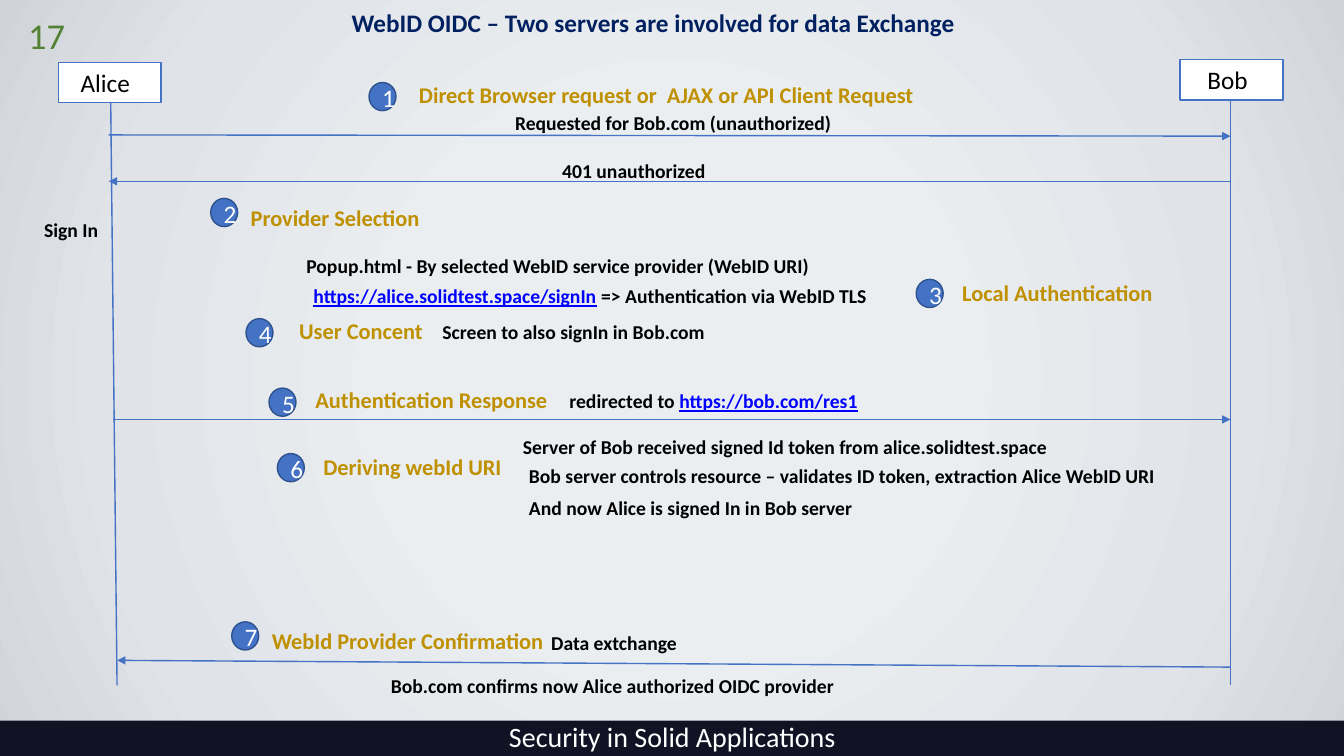
from pptx import Presentation, util as u
from pptx.dml.color import RGBColor
from pptx.enum import shapes, text
from pptx.oxml import parse_xml
from pptx.oxml.ns import nsdecls, qn

BLUE, GOLD, NAVY, WHITE, BLACK = "4472C4", "BF9000", "002060", "FFFFFF", "000000"
INDENT = 1.27
BOB_X = 31.01

# left, top, width, height, lines of spans; a span that starts with https shows as a link
MESSAGES = [
    (11.46, 2.62, 9.86, 0.86, [["Requested for Bob.com (unauthorized)"]]),
    (12.65, 3.84, 5.44, 0.86, [["401 unauthorized"]]),
    (-0.41, 5.31, 3.18, 0.86, [["Sign In"]]),
    (6.2, 6.22, 14.48, 0.89, [["Popup.html - By selected WebID service provider (WebID URI)"]]),
    (6.38, 6.99, 15.95, 0.89,
     [["https://alice.solidtest.space/signIn", " => Authentication via WebID TLS"]]),
    (9.63, 7.9, 8.46, 0.89, [["Screen to also signIn in Bob.com"]]),
    (12.83, 9.63, 9.1, 0.89, [["redirected to ", "https://bob.com/res1"]]),
    (11.66, 10.8, 15.32, 0.89,
     [["Server of Bob received signed Id token from alice.solidtest.space"]]),
    (11.81, 11.53, 17.91, 1.73,
     [["Bob server controls resource – validates ID token, extraction Alice WebID URI"],
      ["And now Alice is signed In in Bob server"]]),
    (8.33, 16.81, 13.08, 0.89, [["Bob.com confirms now Alice authorized OIDC provider"]]),
    (12.37, 15.72, 5, 0.89, [["Data extchange"]]),
]

# heading, its left, top, width, height and indent, then left and top of its number
STEPS = [
    ("Direct Browser request or  AJAX or API Client Request",
     9.04, 1.88, 14.48, 1.8, INDENT, 9.3, 2.08),
    ("Provider Selection", 4.8, 4.98, 6.15, 0.99, INDENT, 5.31, 5),
    ("Local Authentication", 22.73, 6.86, 6.68, 0.99, INDENT, 23.09, 7.04),
    ("User Concent", 7.29, 7.85, 3.81, 0.94, 0, 6.2, 8.03),
    ("Authentication Response", 7.7, 9.6, 6.45, 0.94, 0, 6.78, 9.78),
    ("Deriving webId URI", 7.9, 11.3, 5.08, 0.94, 0, 6.99, 11.43),
    ("WebId Provider Confirmation", 6.6, 15.67, 7.49, 0.94, 0, 5.84, 15.67),
]

ARROWS = [
    (2.74, 3.4, BOB_X, 3.43),
    (BOB_X, 4.57, 2.74, 4.57),
    (2.84, 10.57, BOB_X, 10.57),
    (BOB_X, 16.81, 2.95, 16.64),
]


def colour(value):
    return RGBColor.from_string(value)


def lengths(*values):
    return [u.Cm(value) for value in values]


class SequencePage:
    font = "Calibri"
    link = "0000FF"

    def __init__(self, deck):
        self.page = deck.slides.add_slide(deck.slide_layouts[5])

    def background(self, stops):
        """Fill the page with a round gradient of (percent, colour) stops."""
        marks = "".join(f'<a:gs pos="{percent * 1000}"><a:srgbClr val="{value}"/></a:gs>'
                        for percent, value in stops)
        self.page.element.cSld.insert(0, parse_xml(
            f'<p:bg {nsdecls("p", "a")}><p:bgPr><a:gradFill rotWithShape="1">'
            f'<a:gsLst>{marks}</a:gsLst><a:path path="circle">'
            '<a:fillToRect l="50000" t="50000" r="50000" b="50000"/></a:path>'
            '</a:gradFill><a:effectLst/></p:bgPr></p:bg>'))

    def fill_text(self, box, lines, size=14, ink=BLACK, bold=False, indent=0,
                  align=text.PP_ALIGN.LEFT, anchor=text.MSO_ANCHOR.TOP,
                  insets=(0.25, 0.13, 0.25, 0.13), grow=True):
        """Fill a box with lines, each a list of spans."""
        frame = box.text_frame
        frame.word_wrap = False
        frame.auto_size = (text.MSO_AUTO_SIZE.SHAPE_TO_FIT_TEXT if grow
                           else text.MSO_AUTO_SIZE.NONE)
        frame.vertical_anchor = anchor
        (frame.margin_left, frame.margin_top,
         frame.margin_right, frame.margin_bottom) = lengths(*insets)
        for number, spans in enumerate(lines):
            para = frame.add_paragraph() if number else frame.paragraphs[0]
            para.alignment = align
            if indent:
                para.line_spacing = 1.07
                para.space_after = u.Pt(4.6)
                properties = para._p.get_or_add_pPr()
                properties.set("marL", str(u.Cm(indent)))
                properties.set("indent", "0")
            for words in spans:
                span = para.add_run()
                span.text = words
                is_link = words.startswith("https")
                span.font.name, span.font.size = self.font, u.Pt(size)
                span.font.bold, span.font.underline = bold, is_link
                span.font.color.rgb = colour(self.link if is_link else ink)

    def title(self, words, *place):
        box = self.page.shapes.title
        box.left, box.top, box.width, box.height = lengths(*place)
        self.fill_text(box, [[words]], size=18, ink=NAVY, bold=True, indent=INDENT)

    def label(self, place, lines, **style):
        self.fill_text(self.page.shapes.add_textbox(*lengths(*place)), lines, **style)

    def shape(self, kind, place, fill, line=None):
        box = self.page.shapes.add_shape(kind, *lengths(*place))
        box.shadow.inherit = False
        box.fill.solid()
        box.fill.fore_color.rgb = colour(fill)
        if line:
            box.line.color.rgb = colour(line)
            box.line.width = u.Pt(1)
        else:
            box.line.fill.background()
        return box

    def actor(self, name, left, top, inset):
        box = self.shape(shapes.MSO_SHAPE.RECTANGLE, (left, top, 2.59, 1.02), WHITE, BLUE)
        self.fill_text(box, [[name]], size=18, anchor=text.MSO_ANCHOR.MIDDLE,
                       insets=(inset, 0.13, 0.13, 0.13), grow=False)

    def badge(self, number, left, top):
        box = self.shape(shapes.MSO_SHAPE.OVAL, (left, top, 0.68, 0.71), BLUE, "2F528F")
        self.fill_text(box, [[str(number)]], size=18, ink=WHITE, align=text.PP_ALIGN.CENTER,
                       anchor=text.MSO_ANCHOR.MIDDLE, insets=(0.3, 0.05, 0, 0), grow=False)

    def line(self, ends, arrow=False):
        link = self.page.shapes.add_connector(shapes.MSO_CONNECTOR.STRAIGHT, *lengths(*ends))
        link.line.color.rgb = colour(BLUE)
        link.line.width = u.Pt(1)
        properties = link._element.spPr
        if arrow:
            properties.find(qn("a:ln")).append(
                parse_xml(f'<a:tailEnd {nsdecls("a")} type="triangle"/>'))
        properties.append(parse_xml(f'<a:effectLst {nsdecls("a")}/>'))


def main():
    deck = Presentation()
    deck.slide_width, deck.slide_height = lengths(33.87, 19.05)
    sequence = SequencePage(deck)
    sequence.background([(35, "EAEEF1"), (74, "E0E3E8"), (100, "D0D4D9")])
    sequence.title("WebID OIDC – Two servers are involved for data Exchange",
                   7.34, 0, 17.25, 1.09)

    sequence.shape(shapes.MSO_SHAPE.RECTANGLE, (0, 18.16, 33.87, 0.89), "111224")
    sequence.label((12.32, 18.01, 9.25, 1.04), [["Security in Solid Applications"]], size=20,
                   ink=WHITE, align=text.PP_ALIGN.CENTER, insets=(0.13,) * 4)

    sequence.line((2.79, 2.59, 2.95, 17.27))
    sequence.line((BOB_X, 2.44, BOB_X, 17.27))
    sequence.actor("Alice", 1.47, 1.57, 0.56)
    sequence.actor("Bob", 29.74, 1.5, 0.69)

    for ends in ARROWS:
        sequence.line(ends, arrow=True)
    for *place, lines in MESSAGES:
        sequence.label(place, lines, bold=True, indent=INDENT)
    for number, (heading, *place, indent, left, top) in enumerate(STEPS, 1):
        sequence.label(place, [[heading]], size=16, ink=GOLD, bold=True, indent=indent)
        sequence.badge(number, left, top)

    sequence.label((0.46, 0.2, 1.45, 1.37), [["17"]], size=26, ink="548235")
    deck.save("out.pptx")


if __name__ == "__main__":
    main()
